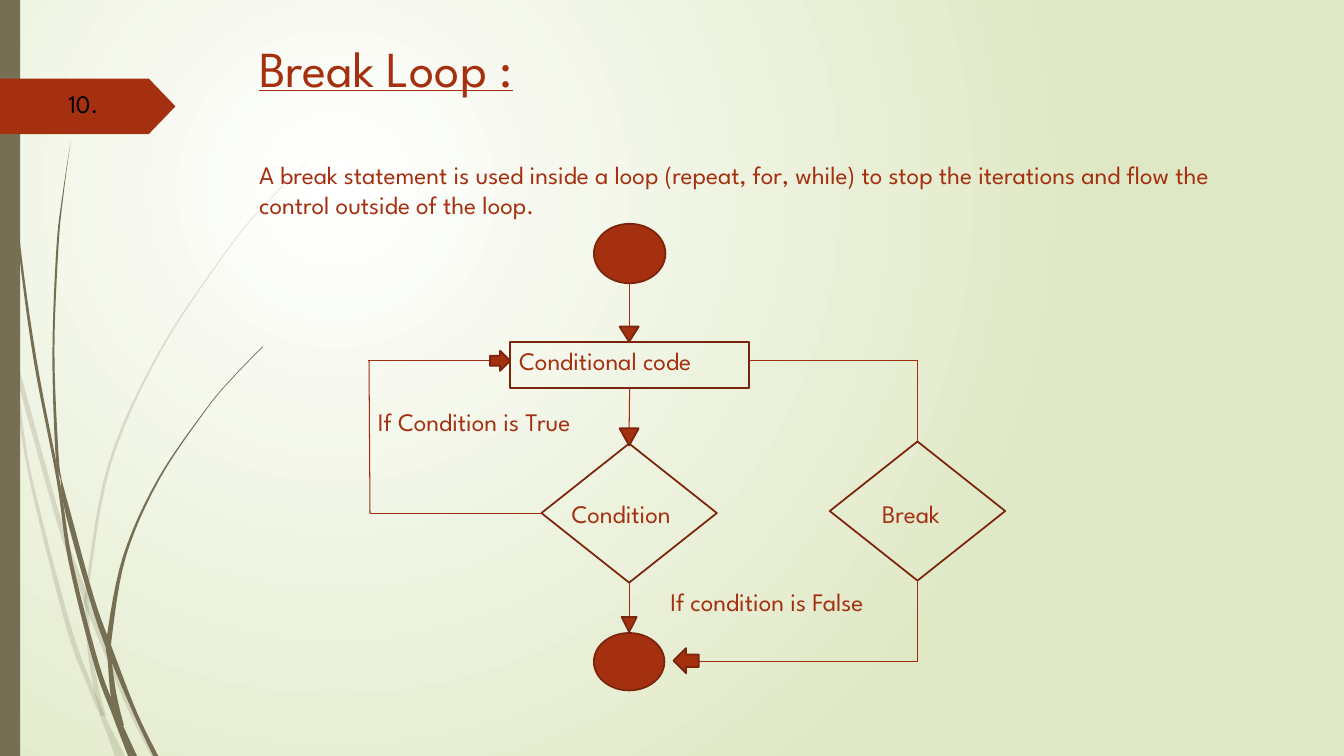
import pptx
import pptx.util
import pptx.dml.color
import pptx.enum.shapes
import pptx.enum.text
import pptx.oxml
import pptx.oxml.ns
import lxml.etree

Inches = pptx.util.Inches
Pt = pptx.util.Pt
RGBColor = pptx.dml.color.RGBColor
SHAPE = pptx.enum.shapes.MSO_SHAPE
qn = pptx.oxml.ns.qn

RUST = RGBColor(0xA5, 0x30, 0x10)
OUTLINE = RGBColor(0x7A, 0x24, 0x0C)
WIRE = RGBColor(0x9E, 0x2E, 0x0F)
OLIVE = RGBColor(0x76, 0x6F, 0x54)
WHITE = RGBColor(0xFF, 0xFF, 0xFF)
PALE_GREEN = RGBColor(0xDF, 0xE8, 0xC4)
BLACK = RGBColor(0, 0, 0)
TOP, LEFT, BOTTOM, RIGHT = range(4)

# Each row of a blade: left edge, right edge, height on the page.
PALE_BLADES = [
    [(0, 0, 2.82), (0, 0.04, 2.99), (0.1, 0.14, 3.45), (0.17, 0.22, 3.76), (0.57, 0.62, 5.2),
     (0.81, 0.87, 5.9), (0.87, 0.92, 6.07), (1.22, 1.27, 6.93), (1.5, 1.55, 7.5)],
    [(0.11, 0.11, 3.5), (0.14, 0.17, 3.76), (0.28, 0.31, 4.7), (0.65, 0.7, 6.2),
     (0.88, 0.93, 6.83), (1, 1.05, 7.12), (1.14, 1.24, 7.5)],
    [(3.12, 3.12, 1.53), (2.68, 2.69, 1.97), (2.28, 2.29, 2.44), (1.58, 1.6, 3.48),
     (1.07, 1.1, 4.61), (0.85, 0.88, 5.84), (0.84, 0.88, 6.05), (0.87, 0.91, 6.46),
     (0.93, 0.98, 6.83), (1, 1.05, 7.1)],
]
DARK_BLADES = [
    [(0.03, 0.04, 0), (0.05, 0.06, 0.48), (0.07, 0.08, 1.1), (0.17, 0.19, 2.33),
     (0.33, 0.36, 3.55), (0.56, 0.59, 4.75), (0.68, 0.72, 5.57), (0.93, 0.98, 6.58),
     (1.11, 1.17, 7.08), (1.27, 1.36, 7.5)],
    [(0.6, 0.6, 4.72), (0.64, 0.69, 5.05), (0.88, 0.93, 5.92), (1.06, 1.12, 6.45),
     (1.32, 1.36, 7.07), (1.52, 1.57, 7.5)],
    [(0.7, 0.7, 1.41), (0.62, 0.63, 1.93), (0.56, 0.58, 2.45), (0.52, 0.54, 3.49),
     (0.55, 0.58, 4.5), (0.6, 0.61, 4.75)],
    [(2.6, 2.61, 3.44), (2.31, 2.32, 3.74), (2.04, 2.05, 4.06), (1.56, 1.58, 4.76),
     (1.22, 1.25, 5.52), (1.06, 1.11, 6.32), (1.07, 1.11, 6.56), (1.1, 1.16, 6.91),
     (1.17, 1.23, 7.2)],
]


def apply_format(target, values):
    for name, value in values.items():
        setattr(target, name, value)


def write(para, text, size=18, color=RUST, underline=False):
    span = para.add_run()
    span.text = text
    apply_format(span.font, {"name": "League Spartan", "size": Pt(size), "underline": underline})
    span.font.color.rgb = color


def add_label(page, text, left, top, width, color=RUST):
    box = page.shapes.add_textbox(Inches(left), Inches(top), Inches(width), Inches(0.4))
    box.text_frame.word_wrap = True
    write(box.text_frame.paragraphs[0], text, color=color)


def paint(shape, fill=None, line=None):
    shape.shadow.inherit = False
    if fill is None:
        shape.fill.background()
    else:
        shape.fill.solid()
        shape.fill.fore_color.rgb = fill
    if line is None:
        shape.line.fill.background()
    else:
        shape.line.color.rgb = line
        shape.line.width = Pt(1.25)


def add_block(page, kind, left, top, width, height, fill=None, line=OUTLINE):
    shape = page.shapes.add_shape(kind, Inches(left), Inches(top), Inches(width), Inches(height))
    paint(shape, fill, line)
    return shape


def add_wire(page, start, end, source=None, target=None):
    ends = [Inches(value) for value in (*start, *end)]
    wire = page.shapes.add_connector(pptx.enum.shapes.MSO_CONNECTOR.STRAIGHT, *ends)
    wire.line.color.rgb = WIRE
    wire.line.width = Pt(0.75)
    lxml.etree.SubElement(wire.element.spPr, qn("a:effectLst"))
    if source:
        wire.begin_connect(*source)
    if target:
        wire.end_connect(*target)


def smooth(rows, steps=6):
    padded = [rows[0], *rows, rows[-1]]
    result = []
    for before, first, second, after in zip(padded, padded[1:], padded[2:], padded[3:]):
        for step in range(steps):
            t = step / steps
            result.append(tuple(
                b + t * (c - a + t * (2 * a - 5 * b + 4 * c - d + t * (3 * (b - c) + d - a))) / 2
                for a, b, c, d in zip(before, first, second, after)))
    return result + [rows[-1]]


def add_blade(page, left, top, rows, alpha):
    rows = smooth(rows)
    edge = [(a, y) for a, b, y in rows] + [(b, y) for a, b, y in reversed(rows)]
    points = [(Inches(left + x), Inches(top + y)) for x, y in edge]
    builder = page.shapes.build_freeform(*points[0])
    builder.add_line_segments(points[1:])
    blade = builder.convert_to_shape()
    paint(blade, OLIVE)
    color = blade.element.spPr.find(qn("a:solidFill"))[0]
    lxml.etree.SubElement(color, qn("a:alpha"), val=str(alpha * 1000))


def fill_background(page):
    fill = page.background.fill
    fill.gradient()
    for stop, color in zip(fill.gradient_stops, (WHITE, PALE_GREEN)):
        stop.color.rgb = color
    gradient = page.element.find(".//" + qn("a:gradFill"))
    gradient.remove(gradient.find(qn("a:lin")))
    shade = lxml.etree.SubElement(gradient, qn("a:path"))
    shade.set("path", "circle")
    lxml.etree.SubElement(shade, qn("a:fillToRect"), l="50000", t="50000", r="100000", b="100000")


def draw_sidebar(page, left, top, height):
    for blades, alpha in ((PALE_BLADES, 20), (DARK_BLADES, 100)):
        for rows in blades:
            add_blade(page, left, top, rows, alpha)
    add_block(page, SHAPE.RECTANGLE, left, top, 0.2, height, OLIVE, None)
    banner = add_block(page, SHAPE.PENTAGON, left, top + 0.78, 1.74, 0.55, RUST, None)
    banner.adjustments[0] = 0.48
    add_label(page, "10.", left + 0.58, top + 0.83, 0.83, BLACK)


def write_heading(page, left, top, width, height):
    title = page.shapes.title
    title.element.getparent().append(title.element)
    apply_format(title, {"left": Inches(left), "top": Inches(top),
                         "width": Inches(width), "height": Inches(height)})
    frame = title.text_frame
    apply_format(frame, {"word_wrap": True, "auto_size": pptx.enum.text.MSO_AUTO_SIZE.NONE,
                         "vertical_anchor": pptx.enum.text.MSO_ANCHOR.TOP})
    heading, body = frame.paragraphs[0], frame.add_paragraph()
    write(heading, "Break Loop :", 36, underline=True)
    write(body, "A break statement is used inside a loop (repeat, for, while) to stop "
                "the iterations and flow the control outside of the loop.")
    for para, gap in ((heading, 0), (body, 44)):
        apply_format(para, {"alignment": pptx.enum.text.PP_ALIGN.LEFT, "line_spacing": 1.0,
                            "space_before": Pt(gap)})


def draw_flowchart(page, left, top):
    axis, side, loop_y, end_y = left + 2.59, left + 5.45, top + 1.36, top + 4.34
    add_block(page, SHAPE.OVAL, axis - 0.35, top, 0.71, 0.59, RUST)
    code = add_block(page, SHAPE.RECTANGLE, axis - 1.18, top + 1.17, 2.37, 0.46)
    condition = add_block(page, SHAPE.DIAMOND, axis - 0.87, top + 2.18, 1.74, 1.38)
    stop = add_block(page, SHAPE.DIAMOND, side - 0.87, top + 2.16, 1.74, 1.38)
    add_block(page, SHAPE.OVAL, axis - 0.35, top + 4.06, 0.7, 0.57, RUST)

    add_wire(page, (axis, top + 0.59), (axis, top + 1.02))
    add_wire(page, (axis, top + 1.63), (axis, top + 2.04), source=(code, BOTTOM))
    add_wire(page, (axis, top + 3.57), (axis, top + 3.9), source=(condition, BOTTOM))
    add_wire(page, (axis - 0.87, top + 2.87), (left + 0.02, top + 2.87), source=(condition, LEFT))
    add_wire(page, (left + 0.01, loop_y), (left + 0.02, top + 2.87))
    add_wire(page, (left + 1.4, loop_y), (left, loop_y))
    add_wire(page, (side, loop_y), (axis + 1.19, loop_y))
    add_wire(page, (side, loop_y), (side, top + 2.16), target=(stop, TOP))
    add_wire(page, (side, top + 3.54), (side, end_y), source=(stop, BOTTOM))
    add_wire(page, (side, end_y), (axis + 0.44, end_y))

    for offset, width, height in ((1.02, 0.19, 0.15), (2.03, 0.19, 0.17), (3.9, 0.15, 0.15)):
        add_block(page, SHAPE.FLOWCHART_MERGE, axis - width / 2, top + offset, width, height, RUST)
    add_block(page, SHAPE.RIGHT_ARROW, left + 1.21, loop_y - 0.1, 0.2, 0.2, RUST)
    add_block(page, SHAPE.LEFT_ARROW, axis + 0.44, end_y - 0.13, 0.25, 0.25, RUST)

    for text, x, y, width in (("Conditional code", 1.4, 1.16, 2.37),
                              ("Condition", 1.92, 2.67, 1.52),
                              ("If Condition is True", 0, 1.76, 2.4),
                              ("Break", 5, 2.67, 1.06),
                              ("If condition is False", 2.9, 3.55, 2.47)):
        add_label(page, text, left + x, top + y, width)


def main():
    deck = pptx.Presentation()
    deck.slide_width, deck.slide_height = Inches(13.33), Inches(7.5)
    page = deck.slides.add_slide(deck.slide_layouts.get_by_name("Title Only"))
    fill_background(page)
    draw_sidebar(page, 0, 0, 7.5)
    write_heading(page, 2.47, 0.32, 9.75, 6.82)
    draw_flowchart(page, 3.65, 2.22)
    deck.save("out.pptx")


if __name__ == "__main__":
    main()
